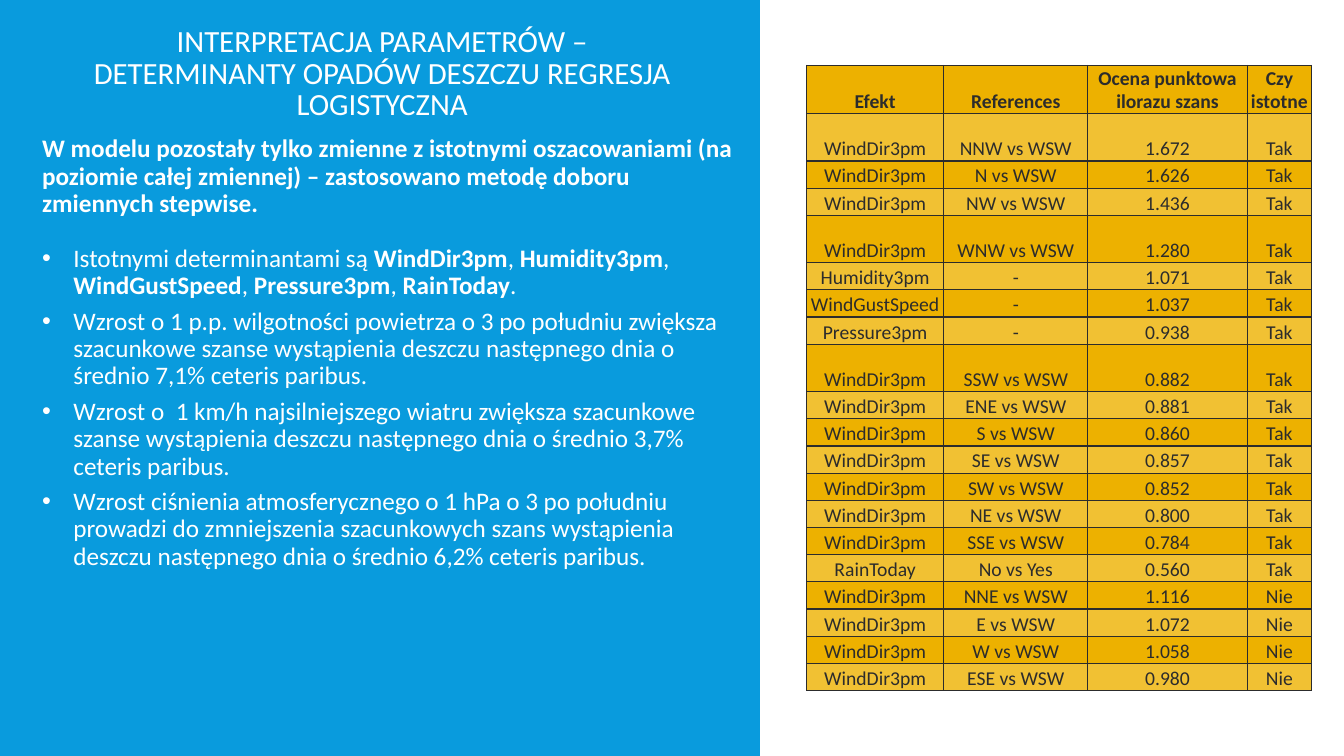
from lxml import etree
from pptx import Presentation
from pptx.dml.color import RGBColor
from pptx.enum.shapes import MSO_SHAPE
from pptx.enum.text import MSO_ANCHOR, PP_ALIGN
from pptx.oxml.ns import qn
from pptx.util import Inches, Pt

RECTANGLE = MSO_SHAPE.RECTANGLE
MIDDLE, BOTTOM = MSO_ANCHOR.MIDDLE, MSO_ANCHOR.BOTTOM
LEFT, CENTER = PP_ALIGN.LEFT, PP_ALIGN.CENTER

THEME = {
    "font": "Calibri",
    "blue": RGBColor(0x09, 0x9B, 0xDD),
    "white": RGBColor(0xFF, 0xFF, 0xFF),
    "dark": RGBColor(0x2C, 0x2C, 0x2C),
    "bands": [RGBColor(0xED, 0xB1, 0x00), RGBColor(0xF1, 0xC1, 0x33)],
    "title": Pt(22),
    "body": Pt(18),
    "table": Pt(14),
}
WIDTH, HEIGHT = 13.33, 7.5
PANEL_LEFT = 7.54
TEXT_LEFT = 0.32
COLUMNS = [1.36, 1.43, 1.58, 0.64]
ROW, TALL_ROW = 0.27, 0.47
TALL_ROWS = {0, 1, 4, 8}

TITLE = "INTERPRETACJA PARAMETRÓW – DETERMINANTY OPADÓW DESZCZU REGRESJA LOGISTYCZNA"
INTRO = ("W modelu pozostały tylko zmienne z istotnymi oszacowaniami (na poziomie całej "
         "zmiennej) – zastosowano metodę doboru zmiennych stepwise.")
# Double asterisks enclose bold words
FINDINGS = [
    "Istotnymi determinantami są **WindDir3pm**, **Humidity3pm**, **WindGustSpeed**, "
    "**Pressure3pm**, **RainToday**.",
    "Wzrost o 1 p.p. wilgotności powietrza o 3 po południu zwiększa szacunkowe szanse "
    "wystąpienia deszczu następnego dnia o średnio 7,1% ceteris paribus.",
    "Wzrost o  1 km/h najsilniejszego wiatru zwiększa szacunkowe szanse wystąpienia "
    "deszczu następnego dnia o średnio 3,7% ceteris paribus.",
    "Wzrost ciśnienia atmosferycznego o 1 hPa o 3 po południu prowadzi do zmniejszenia "
    "szacunkowych szans wystąpienia deszczu następnego dnia o średnio 6,2% ceteris paribus.",
]
HEADER = ("Efekt", "References", "Ocena punktowa ilorazu szans", "Czy istotne")
WIND = "WindDir3pm"
EFFECTS = [
    (WIND, "NNW vs WSW", "1.672", "Tak"),
    (WIND, "N vs WSW", "1.626", "Tak"),
    (WIND, "NW vs WSW", "1.436", "Tak"),
    (WIND, "WNW vs WSW", "1.280", "Tak"),
    ("Humidity3pm", "-", "1.071", "Tak"),
    ("WindGustSpeed", "-", "1.037", "Tak"),
    ("Pressure3pm", "-", "0.938", "Tak"),
    (WIND, "SSW vs WSW", "0.882", "Tak"),
    (WIND, "ENE vs WSW", "0.881", "Tak"),
    (WIND, "S vs WSW", "0.860", "Tak"),
    (WIND, "SE vs WSW", "0.857", "Tak"),
    (WIND, "SW vs WSW", "0.852", "Tak"),
    (WIND, "NE vs WSW", "0.800", "Tak"),
    (WIND, "SSE vs WSW", "0.784", "Tak"),
    ("RainToday", "No vs Yes", "0.560", "Tak"),
    (WIND, "NNE vs WSW", "1.116", "Nie"),
    (WIND, "E vs WSW", "1.072", "Nie"),
    (WIND, "W vs WSW", "1.058", "Nie"),
    (WIND, "ESE vs WSW", "0.980", "Nie"),
]


def style(paragraph, size, color, bold=False, align=LEFT):
    paragraph.alignment = align
    font = paragraph.font
    font.name, font.size, font.bold = THEME["font"], size, bold
    font.color.rgb = color


def add_text_frame(left, top, width, height):
    box = slide.shapes.add_textbox(Inches(left), Inches(top), Inches(width), Inches(height))
    box.text_frame.word_wrap = True
    return box.text_frame


presentation = Presentation()
presentation.slide_width, presentation.slide_height = Inches(WIDTH), Inches(HEIGHT)
slide = presentation.slides.add_slide(presentation.slide_layouts[6])

# Blue ground and white panel for the table
for left, color in [(0, THEME["blue"]), (PANEL_LEFT, THEME["white"])]:
    panel = slide.shapes.add_shape(
        RECTANGLE, Inches(left), 0, Inches(WIDTH - left), Inches(HEIGHT))
    panel.shadow.inherit = False
    panel.fill.solid()
    panel.fill.fore_color.rgb = color
    panel.line.fill.background()

# Title
title_frame = add_text_frame(0.73, 0.2, 6.12, 1.08)
title_frame.vertical_anchor = MIDDLE
paragraph = title_frame.paragraphs[0]
paragraph.text = TITLE
paragraph.line_spacing = 0.85
style(paragraph, THEME["title"], THEME["white"], align=CENTER)

# Introduction
paragraph = add_text_frame(TEXT_LEFT, 1.3, 7.05, 0.92).paragraphs[0]
paragraph.text = INTRO
paragraph.line_spacing, paragraph.space_after = 0.9, Pt(6)
style(paragraph, THEME["body"], THEME["white"], bold=True)

# Bulleted findings
findings_frame = add_text_frame(TEXT_LEFT, 2.39, 6.9, 4.9)
for index, finding in enumerate(FINDINGS):
    paragraph = findings_frame.add_paragraph() if index else findings_frame.paragraphs[0]
    paragraph.line_spacing, paragraph.space_after = 0.9, Pt(6)
    style(paragraph, THEME["body"], THEME["white"])
    for part, words in enumerate(finding.split("**")):
        run = paragraph.add_run()
        run.text = words
        if part % 2:
            run.font.bold = True
    properties = paragraph._p.get_or_add_pPr()
    properties.set("marL", str(Inches(0.31)))
    properties.set("indent", str(-Inches(0.31)))
    bullet_font = etree.Element(qn("a:buFont"), typeface="Arial")
    bullet = etree.Element(qn("a:buChar"), char="•")
    default_run = properties.find(qn("a:defRPr"))
    default_run.addprevious(bullet_font)
    default_run.addprevious(bullet)

# Table of effects
rows = [HEADER] + EFFECTS
heights = [TALL_ROW if index in TALL_ROWS else ROW for index in range(len(rows))]
table = slide.shapes.add_table(
    len(rows), len(COLUMNS), Inches(8), Inches(0.65),
    Inches(sum(COLUMNS)), Inches(sum(heights))).table
for column, width in zip(table.columns, COLUMNS):
    column.width = Inches(width)
for row_index, values in enumerate(rows):
    table.rows[row_index].height = Inches(heights[row_index])
    for column_index, value in enumerate(values):
        cell = table.cell(row_index, column_index)
        cell.margin_left = cell.margin_right = cell.margin_top = Inches(0.01)
        cell.margin_bottom = 0
        cell.vertical_anchor = BOTTOM
        paragraph = cell.text_frame.paragraphs[0]
        paragraph.text = value
        style(paragraph, THEME["table"], THEME["dark"], bold=row_index == 0, align=CENTER)
        cell.fill.solid()
        cell.fill.fore_color.rgb = THEME["bands"][row_index % 2]
        # Borders come before the fill in the cell properties
        cell_properties = cell._tc.get_or_add_tcPr()
        for position, edge in enumerate(("a:lnL", "a:lnR", "a:lnT", "a:lnB")):
            border = etree.Element(qn(edge), w=str(Pt(1)))
            border_fill = etree.SubElement(border, qn("a:solidFill"))
            etree.SubElement(border_fill, qn("a:srgbClr"), val=str(THEME["dark"]))
            cell_properties.insert(position, border)

presentation.save("out.pptx")
